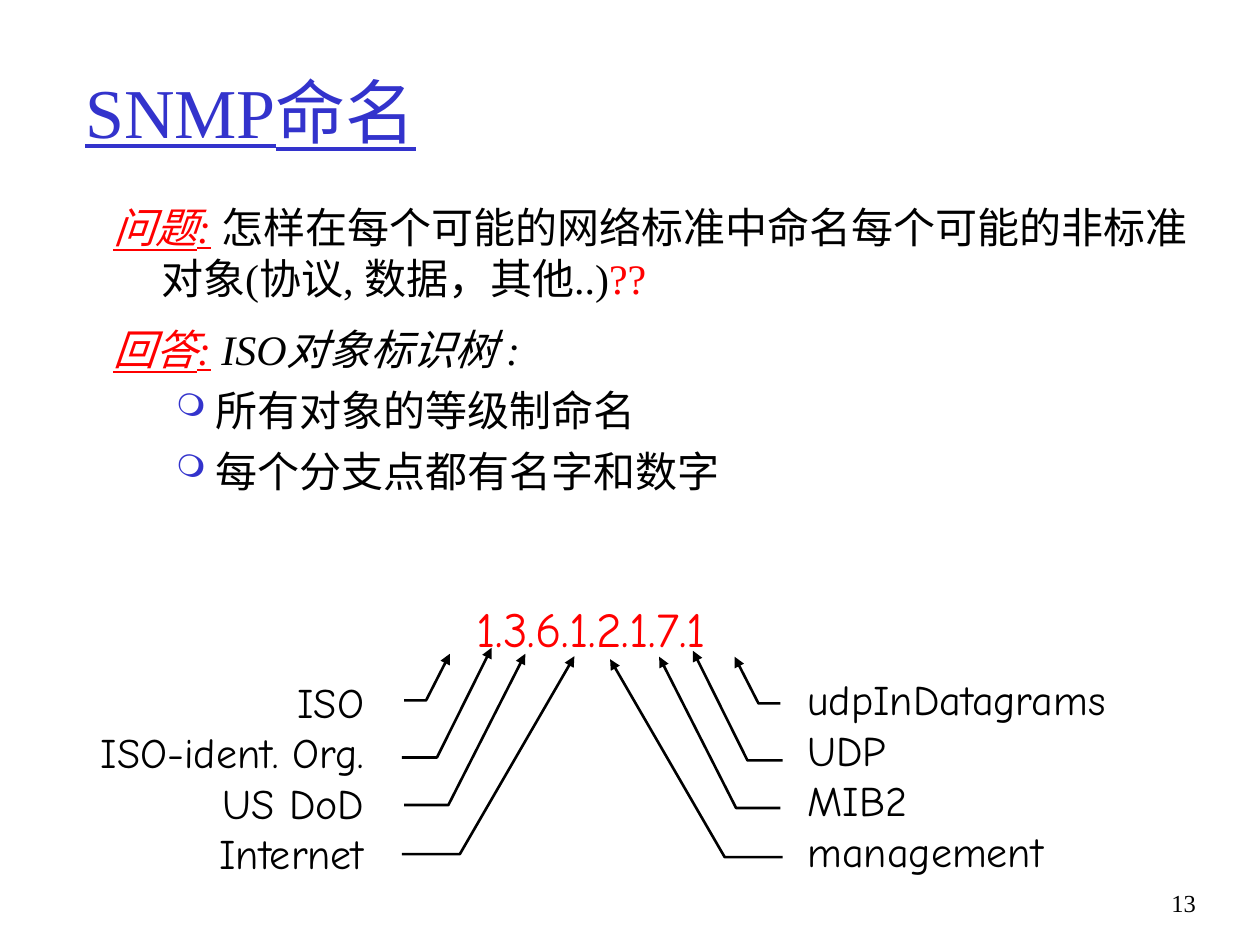
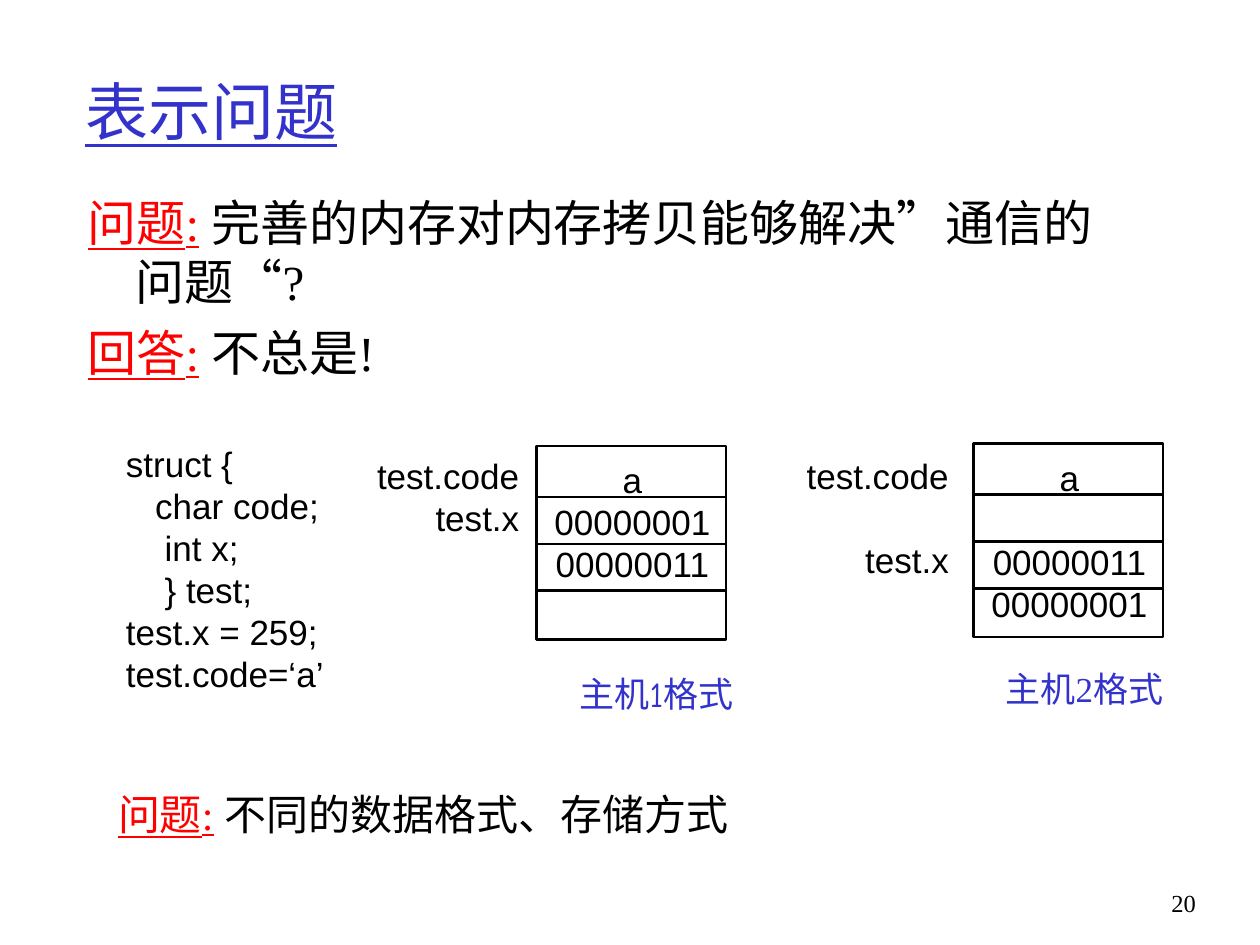
from dataclasses import dataclass

from lxml import etree
from pptx import Presentation
from pptx.dml.color import RGBColor
from pptx.enum.shapes import MSO_CONNECTOR, MSO_SHAPE
from pptx.enum.text import MSO_ANCHOR, MSO_AUTO_SIZE, PP_ALIGN
from pptx.oxml.ns import qn
from pptx.util import Cm, Pt

LEFT, CENTER, RIGHT = PP_ALIGN.LEFT, PP_ALIGN.CENTER, PP_ALIGN.RIGHT
MIDDLE, TOP = MSO_ANCHOR.MIDDLE, MSO_ANCHOR.TOP
FIT_SHAPE = MSO_AUTO_SIZE.SHAPE_TO_FIT_TEXT
RECTANGLE, STRAIGHT = MSO_SHAPE.RECTANGLE, MSO_CONNECTOR.STRAIGHT
BLUE, RED, BLACK, WHITE = "3333CC", "FF0000", "000000", "FFFFFF"
SERIF, SANS, COMIC = "Times New Roman", "Arial", "Comic Neue"


def color(value):
    """Turn a hex string into a colour."""
    return RGBColor.from_string(value)


@dataclass
class Run:
    """A stretch of text that differs from its neighbours."""
    text: str
    color: str = BLACK
    italic: bool = False
    underline: bool = False


@dataclass
class Line:
    """A paragraph of runs with its indents in cm and gap in points."""
    runs: list
    before: float = 0
    margin: float = 0
    hanging: float = 0
    bullet: str = ""


class Deck:
    """Holds the style and the current slide."""

    def __init__(self):
        """Start an empty presentation."""
        self.presentation = Presentation()
        self.presentation.slide_width = Cm(25.4)
        self.presentation.slide_height = Cm(19.05)
        self.slide = None

    def new_slide(self, title, title_size, number):
        """Add a slide with its title and number."""
        self.slide = self.presentation.slides.add_slide(self.presentation.slide_layouts[6])
        self.text(1.47, 0.64, 21.59, 3.18, [Line([Run(title, BLUE, underline=True)])],
                  title_size, anchor=MIDDLE)
        self.text(22.71, 17.78, 1.65, 1.27, [number], 14, align=RIGHT)

    def text(self, left, top, width, height, lines, size, font=SERIF,
             fill=BLACK, align=LEFT, anchor=TOP, wrap=True):
        """Add a text box; a plain string is a one-run line."""
        shape = self.slide.shapes.add_textbox(Cm(left), Cm(top), Cm(width), Cm(height))
        frame = shape.text_frame
        frame.word_wrap = wrap
        frame.vertical_anchor = anchor
        if not wrap:
            frame.auto_size = FIT_SHAPE
        for index, line in enumerate(lines):
            paragraph = frame.paragraphs[0] if index == 0 else frame.add_paragraph()
            if isinstance(line, str):
                line = Line([Run(line, fill)])
            self.paragraph(paragraph, line, size, font, align)

    def paragraph(self, paragraph, line, size, font, align):
        """Fill one paragraph."""
        paragraph.alignment = align
        paragraph.space_before = Pt(line.before)
        properties = paragraph._p.get_or_add_pPr()
        properties.set("marL", str(Cm(line.margin)))
        properties.set("indent", str(-Cm(line.hanging)))
        if line.bullet:
            bullet_color = etree.SubElement(properties, qn("a:buClr"))
            etree.SubElement(bullet_color, qn("a:srgbClr"), val=BLUE)
            etree.SubElement(properties, qn("a:buSzPct"), val="75000")
            etree.SubElement(properties, qn("a:buChar"), char=line.bullet)
        paragraph.font.size = Pt(size)
        paragraph.font.name = font
        for part in line.runs:
            run = paragraph.add_run()
            run.text = part.text
            self.emphasis(paragraph.font if len(line.runs) == 1 else run.font, part)

    def emphasis(self, font, part):
        """Set colour, italics and underline."""
        font.color.rgb = color(part.color)
        font.italic = part.italic
        font.underline = part.underline

    def stroke(self, shape):
        """Give a shape the common black line."""
        shape.line.color.rgb = color(BLACK)
        shape.line.width = Pt(1.5)

    def arrow(self, points):
        """Draw an open bent line with an arrowhead at its end."""
        points = [(Cm(x), Cm(y)) for x, y in points]
        builder = self.slide.shapes.build_freeform(*points[0])
        builder.add_line_segments(points[1:], close=False)
        shape = builder.convert_to_shape()
        shape.shadow.inherit = False
        shape.fill.background()
        self.stroke(shape)
        outline = shape._element.spPr.find(qn("a:ln"))
        etree.SubElement(outline, qn("a:tailEnd"), type="triangle")

    def box(self, left, top, width, height):
        """Draw a white box with a black outline."""
        shape = self.slide.shapes.add_shape(RECTANGLE, Cm(left), Cm(top), Cm(width), Cm(height))
        shape.shadow.inherit = False
        shape.fill.solid()
        shape.fill.fore_color.rgb = color(WHITE)
        self.stroke(shape)

    def rule(self, left, top, width):
        """Draw a horizontal line."""
        connector = self.slide.shapes.add_connector(
            STRAIGHT, Cm(left), Cm(top), Cm(left + width), Cm(top))
        self.stroke(connector)
        etree.SubElement(connector._element.spPr, qn("a:effectLst"))

    def memory(self, left, top, cells):
        """Draw a memory block of four cells with its contents."""
        self.box(left, top, 3.82, 3.9)
        self.text(left + 0.1, top + 0.13, 3.66, 2.8, cells, 20, SANS, align=CENTER, wrap=False)
        for offset in (1.03, 1.98, 2.92):
            self.rule(left, top + offset, 3.82)


def labelled(label, *rest, before=7, italic=False):
    """Make a hanging paragraph that opens with a red underlined label."""
    return Line([Run(label, RED, italic, True), *rest], before, 0.97, 0.97)


def naming_slide(deck):
    """Build the slide on SNMP naming."""
    deck.new_slide("SNMP命名", 40, "13")
    bullets = [Line([Run(text)], 6, 2.06, 0.79, "❍")
               for text in ("所有对象的等级制命名", "每个分支点都有名字和数字")]
    deck.text(2.03, 3.94, 22.3, 7.72, [
        labelled("问题:", Run(" 怎样在每个可能的网络标准中命名每个可能的非标准对象(协议, 数据，其他..)"),
                 Run("??", RED), before=6, italic=True),
        labelled("回答:", Run(" ISO对象标识树 :", italic=True), before=12, italic=True),
        *bullets], 24)
    deck.text(8.92, 11.94, 6, 1.45, ["1.3.6.1.2.1.7.1"], 28, COMIC, RED, CENTER, wrap=False)
    deck.text(1.75, 13.51, 5.84, 4.32, ["ISO", "ISO-ident. Org.", "US DoD", "Internet"],
              24, COMIC, align=RIGHT, wrap=False)
    deck.text(16.03, 13.46, 6.55, 4.32, ["udpInDatagrams", "UDP", "MIB2", "management"],
              24, COMIC, wrap=False)
    mirror_sum, right_drop = 23.88, 0.06
    for start, bend, tip, label_y, tip_y in (
            (8.15, 8.59, 9.07, 14.12, 13.18),
            (8.1, 8.81, 9.91, 15.27, 13.06),
            (8.15, 9.04, 10.59, 16.23, 13.18),
            (8.1, 9.27, 11.58, 17.22, 13.23)):
        points = [(start, label_y), (bend, label_y), (tip, tip_y)]
        deck.arrow(points)
        deck.arrow([(mirror_sum - x, y + right_drop) for x, y in points])


def representation_slide(deck):
    """Build the slide on data representation."""
    deck.new_slide("表示问题", 36, "20")
    deck.text(1.52, 3.76, 21.59, 4.27, [
        labelled("问题:", Run(" 完善的内存对内存拷贝能够解决”通信的问题“?")),
        labelled("回答:", Run(" 不总是!"))], 28)
    deck.text(2.13, 15.77, 21.59, 1.57,
              [labelled("问题:", Run(" 不同的数据格式、存储方式"), before=6)], 24)
    deck.text(2.29, 8.79, 4.5, 5.33, [
        "struct {",
        Line([Run("char code;")], margin=0.59),
        Line([Run("int x;")], margin=0.78),
        Line([Run("} test;")], margin=0.78),
        "test.x = 259;", "test.code=‘a’"], 20, SANS, wrap=False)
    skipped_cell = 24
    deck.memory(10.82, 8.99, ["a", "00000001", "00000011"])
    deck.memory(19.63, 8.94, ["a", Line([Run("00000011")], skipped_cell), "00000001"])
    deck.text(7.34, 9.04, 3.38, 1.96, ["test.code", "test.x"], 20, SANS, align=RIGHT, wrap=False)
    deck.text(16, 9.04, 3.38, 2.8, ["test.code", Line([Run("test.x")], skipped_cell)],
              20, SANS, align=RIGHT, wrap=False)
    deck.text(10.84, 13.44, 4.2, 1.12, ["主机1格式"], 20, COMIC, BLUE, RIGHT, wrap=False)
    deck.text(19.45, 13.34, 4.25, 1.12, ["主机2格式"], 20, SERIF, BLUE, RIGHT, wrap=False)


def main():
    """Build and save the presentation."""
    deck = Deck()
    naming_slide(deck)
    representation_slide(deck)
    deck.presentation.save("out.pptx")


if __name__ == "__main__":
    main()
